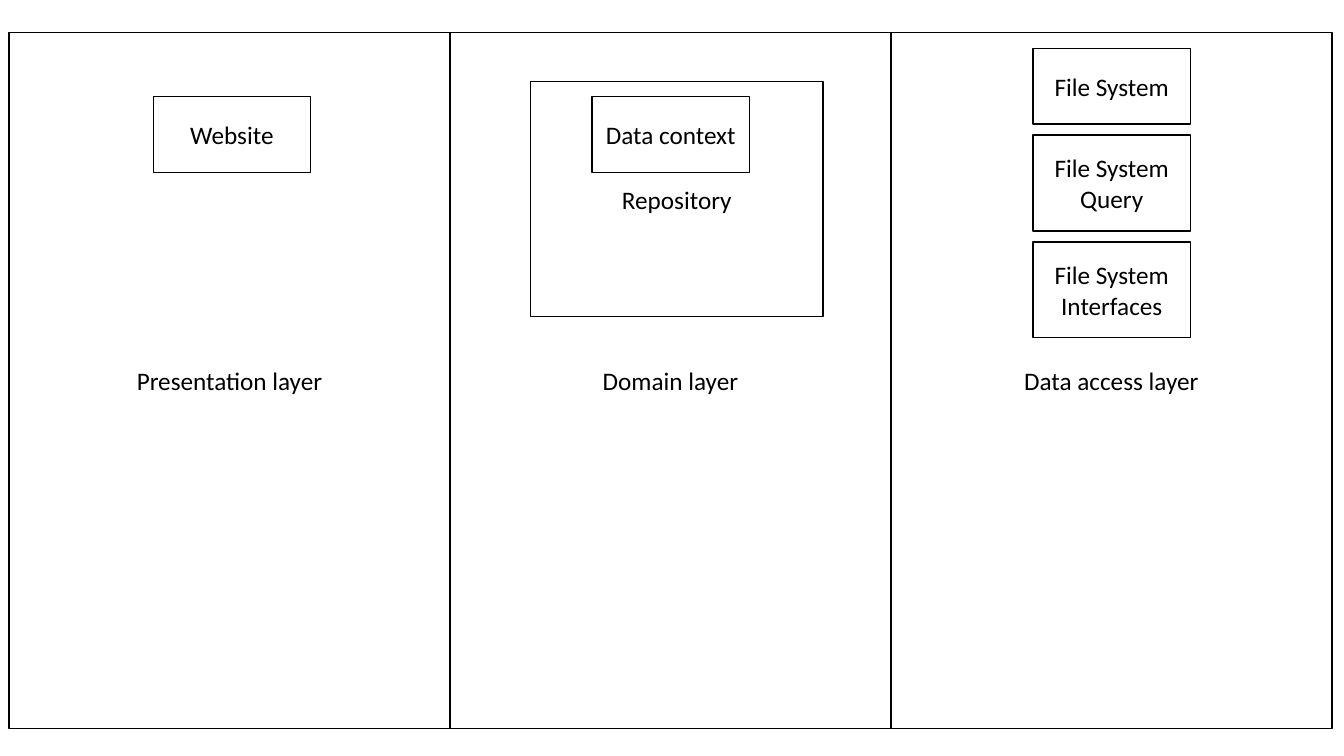
"""Build a slide of three application layers and their components."""
from pptx import Presentation
from pptx.dml.color import RGBColor
from pptx.enum.shapes import MSO_SHAPE
from pptx.enum.text import MSO_ANCHOR, PP_ALIGN
from pptx.util import Inches, Pt

WHITE = RGBColor(0xFF, 0xFF, 0xFF)
BLACK = RGBColor(0x00, 0x00, 0x00)

SLIDE_W, SLIDE_H = 13.33, 7.5
GRID_LEFT, GRID_RIGHT = 0.09, 13.21
LAYER_TOP, LAYER_H = 0.32, 6.91
LAYERS = ["Presentation layer", "Domain layer", "Data access layer"]
COL_W = (GRID_RIGHT - GRID_LEFT) / len(LAYERS)

BOX_W, BOX_H, TALL_BOX_H = 1.56, 0.75, 0.95
BOX_INSET = 1.41
BOX_TOP = 0.96
STACK_TOP, STACK_GAP = 0.48, 0.11
FILE_SYSTEM_STACK = [
    ("File System", BOX_H),
    ("File System Query", TALL_BOX_H),
    ("File System Interfaces", TALL_BOX_H),
]


def column_x(col, inset=0.0):
    """Return the x position at an inset from the left edge of a column."""
    return GRID_LEFT + col * COL_W + inset


def set_text(sp, text, *, size=18, font="Calibri", color=BLACK,
             align=PP_ALIGN.CENTER, anchor=MSO_ANCHOR.MIDDLE):
    """Write formatted text into a shape."""
    tf = sp.text_frame
    tf.word_wrap = True
    tf.vertical_anchor = anchor
    p = tf.paragraphs[0]
    p.alignment = align
    r = p.add_run()
    r.text = text
    r.font.size = Pt(size)
    r.font.name = font
    r.font.color.rgb = color


def add_box(s, text, x, y, w=BOX_W, h=BOX_H):
    """Add an outlined white rectangle with a centred label."""
    sp = s.shapes.add_shape(MSO_SHAPE.RECTANGLE, Inches(x), Inches(y),
                            Inches(w), Inches(h))
    sp.shadow.inherit = False
    sp.fill.solid()
    sp.fill.fore_color.rgb = WHITE
    sp.line.color.rgb = BLACK
    sp.line.width = Pt(1)
    set_text(sp, text)


def add_layers(s):
    """Add one full-height panel per layer."""
    for col, name in enumerate(LAYERS):
        add_box(s, name, column_x(col), LAYER_TOP, COL_W, LAYER_H)


def add_stack(s, items, x, y):
    """Add boxes one below another with equal gaps."""
    for text, h in items:
        add_box(s, text, x, y, h=h)
        y += h + STACK_GAP


def main():
    """Build and save the slide."""
    prs = Presentation()
    prs.slide_width, prs.slide_height = Inches(SLIDE_W), Inches(SLIDE_H)
    s = prs.slides.add_slide(prs.slide_layouts[6])

    add_layers(s)
    add_stack(s, FILE_SYSTEM_STACK, column_x(2, BOX_INSET), STACK_TOP)
    add_box(s, "Repository", column_x(1, 0.8), 0.81, 2.9, 2.33)
    add_box(s, "Data context", column_x(1, BOX_INSET), BOX_TOP)
    add_box(s, "Website", column_x(0, 1.43), BOX_TOP)

    prs.save("out.pptx")


if __name__ == "__main__":
    main()
